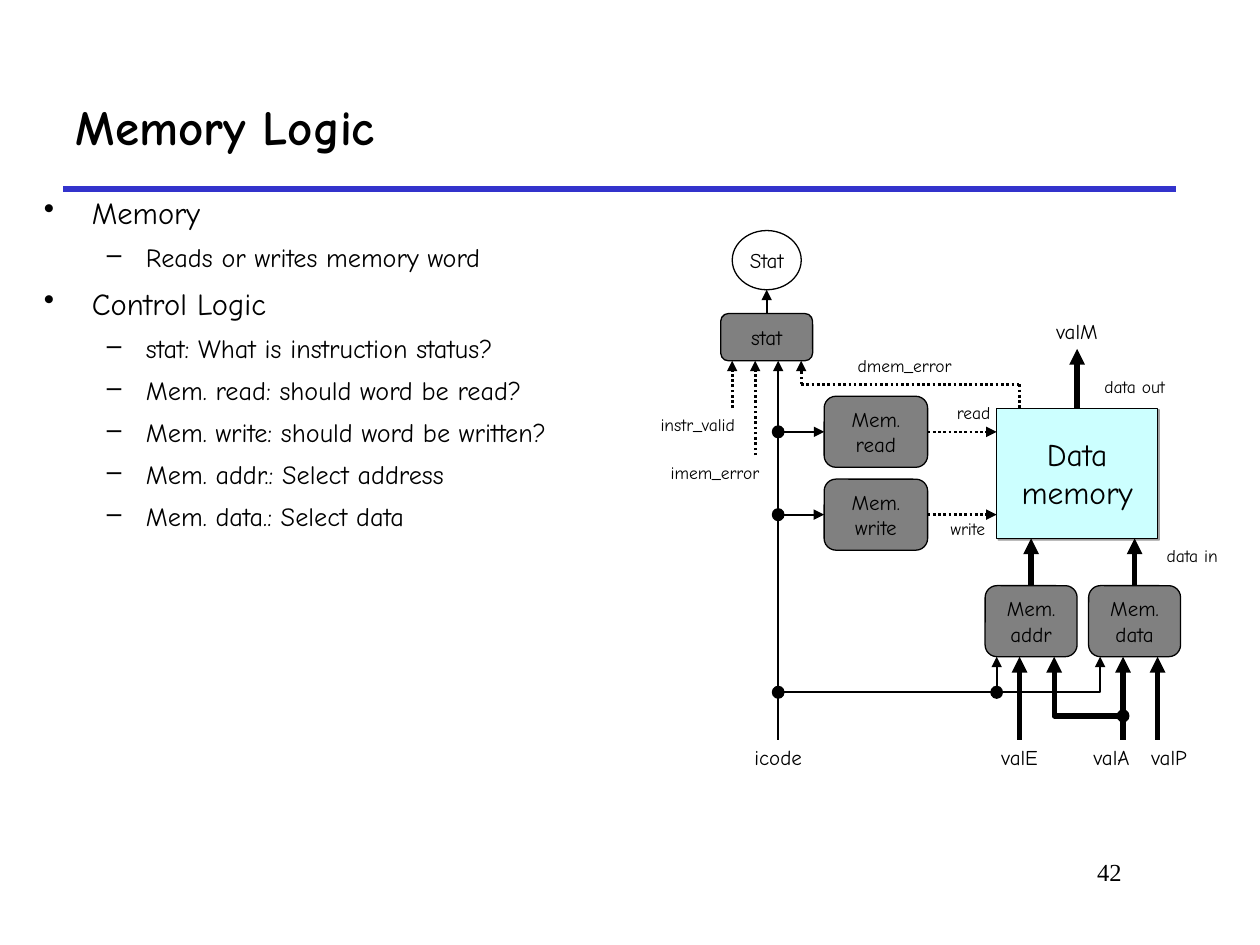
from lxml import etree
from pptx import Presentation
from pptx import util as u
from pptx.dml.color import RGBColor
from pptx.enum import dml, shapes, text
from pptx.oxml.ns import qn

WIDTH, HEIGHT = 10, 7.5
# Diagram grid: 40 columns by 43 rows from the top-left corner of the circuit
LEFT, TOP = 5.72, 1.83
COLUMN, ROW = 3.65 / 40, 4.04 / 43

BLACK, WHITE, GRAY = "000000", "FFFFFF", "808080"
CYAN, BLUE = "CCFFFF", "3333CC"
ROUND = shapes.MSO_SHAPE.ROUNDED_RECTANGLE
OVAL = shapes.MSO_SHAPE.OVAL
RECTANGLE = shapes.MSO_SHAPE.RECTANGLE
CENTER, RIGHT = text.PP_ALIGN.CENTER, text.PP_ALIGN.RIGHT
MIDDLE = text.MSO_ANCHOR.MIDDLE


def color(value):
    return RGBColor.from_string(value)


def point(column, row):
    return u.Inches(LEFT + column * COLUMN), u.Inches(TOP + row * ROW)


def grid_box(column, row, columns, rows):
    return (*point(column, row), u.Inches(columns * COLUMN), u.Inches(rows * ROW))


def share_box(left, top, width, height):
    return (u.Inches(left * WIDTH), u.Inches(top * HEIGHT),
            u.Inches(width * WIDTH), u.Inches(height * HEIGHT))


def apply(target, values):
    for name, value in values.items():
        setattr(target, name, value)


class Board:
    font = "Comic Neue"

    def __init__(self, slide):
        self.slide = slide
        self.shapes = slide.shapes

    def set_text(self, frame, content, size, align=None, font=None, bold=False):
        frame.text = content
        for paragraph in frame.paragraphs:
            paragraph.alignment = align
            for run in paragraph.runs:
                apply(run.font, {"name": font or self.font,
                                 "size": u.Pt(size), "bold": bold})
                run.font.color.rgb = color(BLACK)

    def title(self, content, box):
        shape = self.shapes.title
        apply(shape, dict(zip(("left", "top", "width", "height"), box)))
        shape.text_frame.vertical_anchor = MIDDLE
        self.set_text(shape.text_frame, content, 28, text.PP_ALIGN.LEFT, bold=True)

    def label(self, content, box, size=10, align=CENTER, font=None):
        frame = self.shapes.add_textbox(*box).text_frame
        frame.word_wrap = True
        self.set_text(frame, content, size, align, font)
        return frame

    def bullets(self, items, box):
        levels = [{"size": 17.5, "before": 7, "margin": 0.38, "hang": 0.38, "mark": "•"},
                  {"size": 15, "before": 6, "margin": 0.81, "hang": 0.31, "mark": "–"}]
        frame = self.label("\n".join(content for _, content in items), box, align=None)
        for paragraph, (level, _) in zip(frame.paragraphs, items):
            style = levels[level]
            apply(paragraph, {"level": level, "space_before": u.Pt(style["before"])})
            paragraph.runs[0].font.size = u.Pt(style["size"])
            properties = paragraph._p.get_or_add_pPr()
            properties.set("marL", str(u.Inches(style["margin"])))
            properties.set("indent", str(-u.Inches(style["hang"])))
            etree.SubElement(properties, qn("a:buChar")).set("char", style["mark"])

    def node(self, kind, content, cells, fill=None, size=12):
        shape = self.shapes.add_shape(kind, *grid_box(*cells))
        shape.shadow.inherit = False
        if fill:
            shape.fill.solid()
            shape.fill.fore_color.rgb = color(fill)
            shape.line.color.rgb = color(BLACK)
            shape.line.width = u.Pt(0.75)
        else:
            shape.fill.background()
            shape.line.fill.background()
        frame = shape.text_frame
        apply(frame, {"word_wrap": False, "vertical_anchor": MIDDLE,
                      "margin_left": 0, "margin_right": 0,
                      "margin_top": 0, "margin_bottom": 0})
        self.set_text(frame, content, size, CENTER)
        return shape

    def dot(self, column, row):
        self.node(OVAL, "", (column - 0.5, row - 0.5, 1, 1), BLACK)

    def drop_shadow(self, shape):
        effects = shape._element.spPr.find(qn("a:effectLst"))
        shadow = etree.SubElement(effects, qn("a:outerShdw"),
                                  dist=str(u.Pt(1.4)), dir="2700000", algn="ctr", rotWithShape="0")
        tint = etree.SubElement(shadow, qn("a:srgbClr"), val=GRAY)
        etree.SubElement(tint, qn("a:alpha"), val="75000")

    def stroke(self, line, width, arrow, dotted=False, ink=BLACK):
        line.color.rgb = color(ink)
        line.width = u.Pt(width)
        if dotted:
            line.dash_style = dml.MSO_LINE.ROUND_DOT
        if arrow:
            etree.SubElement(line._get_or_add_ln(), qn("a:tailEnd"), type="triangle")

    def line(self, start, end, width=1, arrow=True, dotted=False, ink=BLACK,
             source=None, target=None):
        connector = self.shapes.add_connector(shapes.MSO_CONNECTOR.STRAIGHT, *start, *end)
        self.stroke(connector.line, width, arrow, dotted, ink)
        etree.SubElement(connector._element.spPr, qn("a:effectLst"))
        if source:
            connector.begin_connect(*source)
        if target:
            connector.end_connect(*target)

    def wire(self, start, end, **style):
        self.line(point(*start), point(*end), **style)

    def bent_wire(self, cells, width=1):
        points = [point(*cell) for cell in cells]
        builder = self.shapes.build_freeform(*points[0])
        builder.add_line_segments(points[1:], close=False)
        shape = builder.convert_to_shape()
        shape.shadow.inherit = False
        shape.fill.background()
        self.stroke(shape.line, width, True)


def main():
    presentation = Presentation()
    apply(presentation, {"slide_width": u.Inches(WIDTH), "slide_height": u.Inches(HEIGHT)})
    board = Board(presentation.slides.add_slide(presentation.slide_layouts[5]))

    # Heading, rule, bullets and page number
    board.line((u.Inches(0.5), u.Inches(1.5)), (u.Inches(9.33), u.Inches(1.5)),
               width=3, arrow=False, ink=BLUE)
    board.title("Memory Logic", share_box(0.05, 0.5 / 7.5, 0.883, 1 / 7.5))
    board.bullets([(0, "Memory"),
                   (1, "Reads or writes memory word"),
                   (0, "Control Logic"),
                   (1, "stat: What is instruction status?"),
                   (1, "Mem. read: should word be read?"),
                   (1, "Mem. write: should word be written?"),
                   (1, "Mem. addr.: Select address"),
                   (1, "Mem. data.: Select data")],
                  share_box(0.025, 1.49 / 7.5, 0.492, 2.76 / 7.5))
    board.label("42", share_box(0.758, 0.9, 0.142, 0.5 / 7.5), 14, RIGHT, "Times New Roman")

    # Blocks
    memory = board.node(RECTANGLE, "Data\nmemory", (24, 15, 14, 11), CYAN, 18)
    board.drop_shadow(memory)
    read_block = board.node(ROUND, "Mem.\nread", (9, 14, 9, 6), GRAY)
    write_block = board.node(ROUND, "Mem.\nwrite", (9, 21, 9, 6), GRAY)
    address_block = board.node(ROUND, "Mem.\naddr", (23, 30, 8, 6), GRAY)
    data_block = board.node(ROUND, "Mem.\ndata", (32, 30, 8, 6), GRAY)
    status_block = board.node(ROUND, "stat", (0, 7, 8, 4), GRAY)
    board.node(OVAL, "Stat", (1, 0, 6, 5), WHITE)

    # Signal names
    for name, column, row in [("valM", 28, 6), ("icode", 2, 42), ("valE", 23, 42),
                              ("valA", 31, 42), ("valP", 36, 42)]:
        board.node(OVAL, name, (column, row, 6, 5))
    for name, column, row, columns in [
            ("read", 18, 14, 8), ("write", 18, 23.8, 7), ("data out", 31, 11.8, 10),
            ("data in", 36, 26, 10), ("dmem_error", 8, 10, 16),
            ("instr_valid", -7, 15, 10), ("imem_error", -6, 19, 11)]:
        board.label(name, grid_box(column, row, columns, 2.9))

    # Thick data wires
    for column in (26, 35, 38):
        board.wire((column, 43), (column, 36), width=3)
    for block, column in ((address_block, 27), (data_block, 36)):
        board.wire((column, 30), (column, 26), width=3, source=(block, 0))
    board.wire((31, 15), (31, 10), width=3, source=(memory, 0))
    board.bent_wire([(35, 41), (29, 41), (29, 36)], width=3)

    # Thin control wires
    board.bent_wire([(5, 43), (5, 17), (9, 17)])
    board.bent_wire([(5, 39), (33, 39), (33, 36)])
    board.wire((5, 24), (9, 24), target=(write_block, 1))
    board.wire((24, 39), (24, 36))
    board.wire((5, 17), (5, 11))
    board.wire((4, 7), (4, 5), source=(status_block, 0))

    # Dotted wires
    for block, row in ((read_block, 17), (write_block, 24)):
        board.wire((18, row), (24, row), width=1.5, dotted=True, source=(block, 3))
    for column, row in ((1, 15), (3, 19), (7, 13)):
        board.wire((column, row), (column, 11), width=1.5, dotted=True)
    for start, end in (((7, 13), (26, 13)), ((26, 13), (26, 15))):
        board.wire(start, end, width=1.5, dotted=True, arrow=False)

    # Junctions
    for column, row in ((5, 17), (5, 24), (5, 39), (24, 39), (35, 41)):
        board.dot(column, row)

    presentation.save("out.pptx")


if __name__ == "__main__":
    main()
